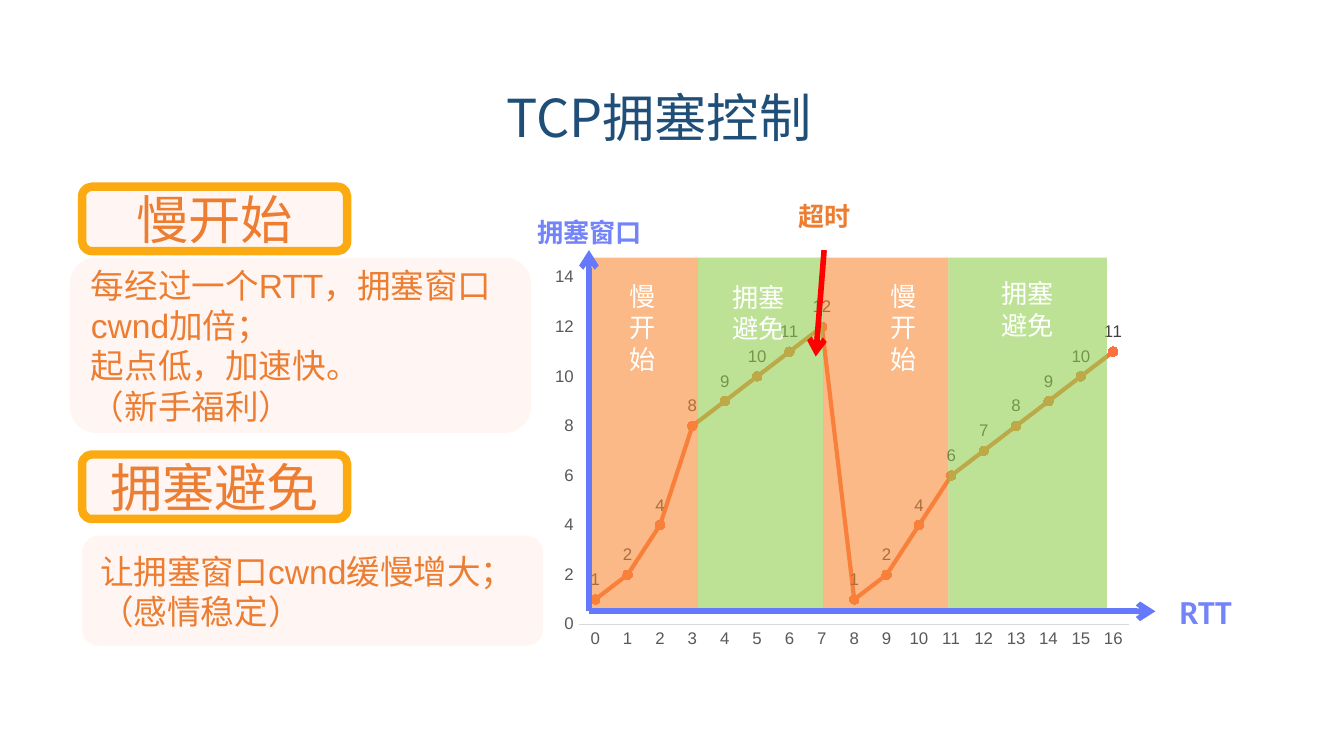
from itertools import pairwise

from lxml.etree import SubElement
from pptx import Presentation
from pptx.chart.data import CategoryChartData
from pptx.dml.color import RGBColor
from pptx.enum.chart import XL_CHART_TYPE, XL_LABEL_POSITION, XL_MARKER_STYLE, XL_TICK_MARK
from pptx.enum.shapes import MSO_CONNECTOR, MSO_SHAPE
from pptx.enum.text import MSO_ANCHOR, PP_ALIGN
from pptx.oxml.ns import qn
from pptx.util import Pt

ORANGE, GREEN, TEXT_ORANGE = "F78B38", "92D050", "ED7D31"
CARD, AXIS, AXIS_TEXT, CURVE = "FFF6F4", "6679FC", "7384FB", "FD713D"
CJK = "Noto Sans CJK SC"
WINDOWS = [1, 2, 4, 8, 9, 10, 11, 12, 1, 2, 4, 6, 7, 8, 9, 10, 11]


def color(value):
    return RGBColor.from_string(value)


def style_text(box, lines, size, ink, font="Arial", align=PP_ALIGN.CENTER, bold=False):
    frame = box.text_frame
    frame.word_wrap = True
    frame.vertical_anchor = MSO_ANCHOR.MIDDLE
    frame.text = "\n".join(lines)
    for para in frame.paragraphs:
        para.alignment = align
        for span in para.runs:
            span.font.size = Pt(size)
            span.font.name = font
            span.font.bold = bold
            span.font.color.rgb = color(ink)
            SubElement(span.font._element, qn("a:ea"), typeface=CJK)


def add_panel(page, box, fill=None, corner=0.15, alpha=None, border=None):
    panel = page.shapes.add_shape(MSO_SHAPE.ROUNDED_RECTANGLE, *map(Pt, box))
    panel.shadow.inherit = False
    panel.adjustments[0] = corner
    if fill:
        panel.fill.solid()
        panel.fill.fore_color.rgb = color(fill)
    else:
        panel.fill.background()
    if alpha:
        tint = panel.fill._xPr.find(qn("a:solidFill"))[0]
        SubElement(tint, qn("a:alpha"), val=str(alpha * 1000))
    if border:
        panel.line.color.rgb = color(border)
        panel.line.width = Pt(4.5)
    else:
        panel.line.fill.background()
    return panel


def add_label(page, box, text, size, ink, font="Calibri", bold=True):
    style_text(add_panel(page, box), [text], size, ink, font, bold=bold)


def add_arrow(page, start, end, ink):
    arrow = page.shapes.add_connector(MSO_CONNECTOR.STRAIGHT, *map(Pt, start + end))
    arrow.line.color.rgb = color(ink)
    arrow.line.width = Pt(3)
    SubElement(arrow.line._get_or_add_ln(), qn("a:tailEnd"), type="arrow")
    SubElement(arrow._element.spPr, qn("a:effectLst"))


def add_title(page, box, text):
    title = page.shapes.add_textbox(*map(Pt, box))
    style_text(title, [text], 28, "1F4E79", CJK)


def add_topic(page, box, heading, lines, card_box):
    """Framed heading at the top left of box, with a card placed relative to box."""
    left, top = box
    header = add_panel(page, (left, top, 142, 34.5), CARD, border="FCAA12")
    style_text(header, [heading], 28, TEXT_ORANGE)
    dx, dy, width, height = card_box
    card = add_panel(page, (left + dx, top + dy, width, height), CARD)
    style_text(card, lines, 18, TEXT_ORANGE, align=PP_ALIGN.LEFT)


def style_axis(axis):
    axis.has_major_gridlines = False
    axis.major_tick_mark = axis.minor_tick_mark = XL_TICK_MARK.NONE
    axis.tick_labels.font.size = Pt(9)
    axis.tick_labels.font.name = "Arial"
    axis.tick_labels.font.color.rgb = color("595959")


def fix_plot_area(chart, **fractions):
    """Set the inner plot area as fractions of the chart."""
    area = chart._chartSpace.chart.plotArea
    for old in area.findall(qn("c:layout")):
        area.remove(old)
    layout = SubElement(area, qn("c:layout"))
    area.insert(0, layout)
    manual = SubElement(layout, qn("c:manualLayout"))
    SubElement(manual, qn("c:layoutTarget"), val="inner")
    for key in ("xMode", "yMode"):
        SubElement(manual, qn(f"c:{key}"), val="edge")
    for key, value in fractions.items():
        SubElement(manual, qn(f"c:{key}"), val=str(value))


def add_window_chart(page, box):
    data = CategoryChartData()
    data.categories = [str(turn) for turn in range(len(WINDOWS))]
    data.add_series("Series 1", WINDOWS)
    chart = page.shapes.add_chart(XL_CHART_TYPE.LINE_MARKERS, *map(Pt, box), data).chart
    chart.has_legend = chart.has_title = False
    chart.font.size = Pt(10)
    chart.font.name = "Arial"
    fix_plot_area(chart, x=0.06, y=0.045, w=0.92, h=0.873)

    style_axis(chart.category_axis)
    chart.category_axis.format.line.color.rgb = color("D9D9D9")
    chart.category_axis.format.line.width = Pt(0.75)
    values = chart.value_axis
    style_axis(values)
    values.format.line.fill.background()
    values.minimum_scale, values.maximum_scale, values.major_unit = 0, 14, 2

    plot = chart.plots[0]
    plot.vary_by_categories = False
    curve = plot.series[0]
    curve.smooth = False
    curve.format.line.color.rgb = color(CURVE)
    curve.format.line.width = Pt(2.25)
    curve.marker.style = XL_MARKER_STYLE.CIRCLE
    curve.marker.size = 5
    curve.marker.format.fill.solid()
    curve.marker.format.fill.fore_color.rgb = color(CURVE)
    curve.marker.format.line.color.rgb = color(CURVE)
    labels = curve.data_labels
    labels.show_value = True
    labels.position = XL_LABEL_POSITION.ABOVE
    labels.font.size = Pt(9)
    labels.font.name = "Arial"
    labels.font.color.rgb = color("404040")


def add_congestion_diagram(page, box):
    """Chart in box, with tinted phases, axes and labels placed from its corner."""
    left, top, _, _ = box
    add_window_chart(page, box)

    edges = [left + step for step in (26, 83, 150, 217, 302)]
    for index, (start, end) in enumerate(pairwise(edges)):
        tint = GREEN if index % 2 else ORANGE
        add_panel(page, (start, top - 1, end - start, 188), tint, corner=0, alpha=60)

    origin = (left + 24.5, top + 188.5)
    add_arrow(page, origin, (left + 328, origin[1]), AXIS)
    add_arrow(page, origin, (origin[0], top - 5), AXIS)
    add_label(page, (left - 24.5, top - 33, 99, 37), "拥塞窗口", 14, AXIS_TEXT)
    add_label(page, (left + 326, top + 170, 58, 37), "RTT", 18, AXIS_TEXT)

    phases = [("慢开始", 31, 11.5, 45), ("拥塞避免", 86.5, 3.5, 58),
              ("慢开始", 170.5, 11.5, 45), ("拥塞避免", 230.5, 1.5, 58)]
    for name, dx, dy, width in phases:
        add_label(page, (left + dx, top + dy, width, 50), name, 14, "FFFFFF", "Arial", False)

    add_arrow(page, (left + 150.5, top - 5), (left + 146, top + 52), "FF0000")
    add_label(page, (left + 112.5, top - 42, 77, 37), "超时", 14, TEXT_ORANGE)


def main():
    deck = Presentation()
    deck.slide_width, deck.slide_height = Pt(720), Pt(405)
    page = deck.slides.add_slide(deck.slide_layouts[6])
    add_congestion_diagram(page, (291, 139, 320.5, 213))
    add_title(page, (71.5, 42, 563, 41), "TCP拥塞控制")
    add_topic(page, (44, 100), "慢开始",
              ["每经过一个RTT，拥塞窗口cwnd加倍；", "起点低，加速快。", "（新手福利）"],
              (-6.5, 38, 247, 94))
    add_topic(page, (44, 243.5), "拥塞避免",
              ["让拥塞窗口cwnd缓慢增大；", "（感情稳定）"],
              (0, 43.5, 247, 59))
    deck.save("out.pptx")


if __name__ == "__main__":
    main()
